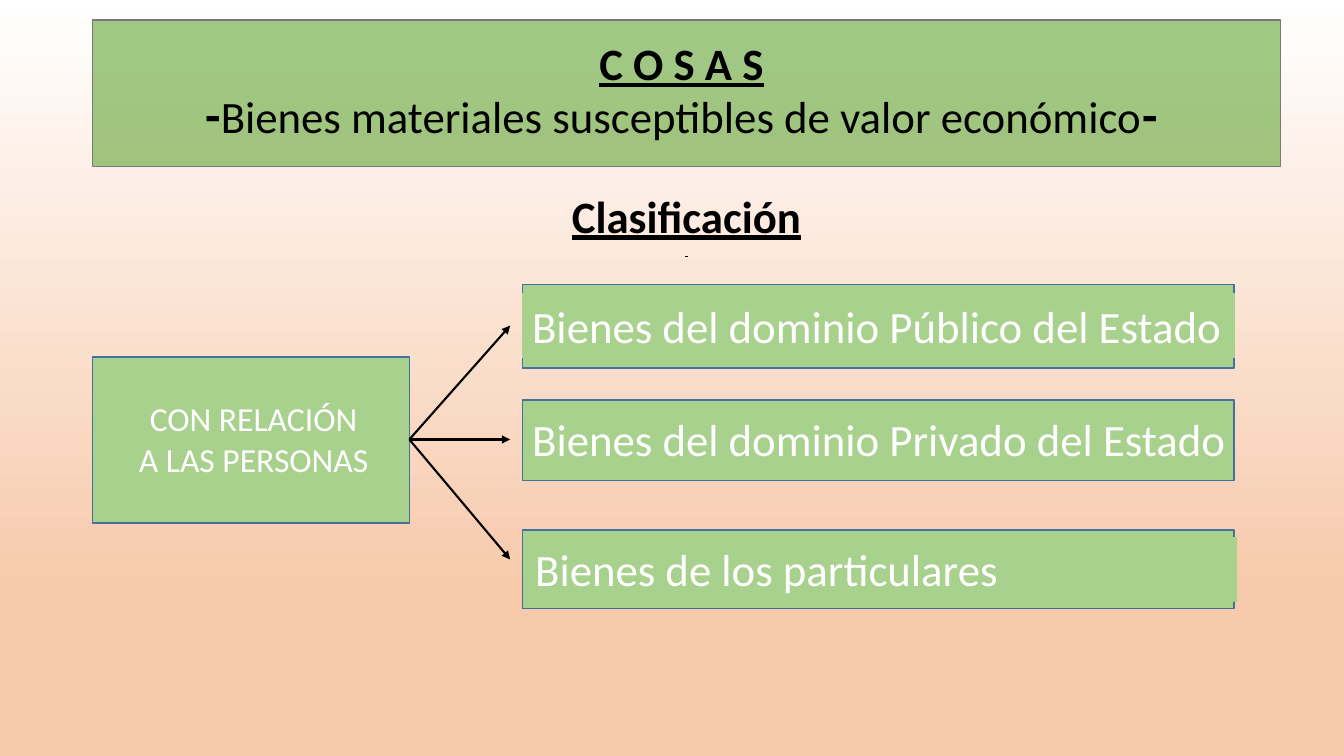
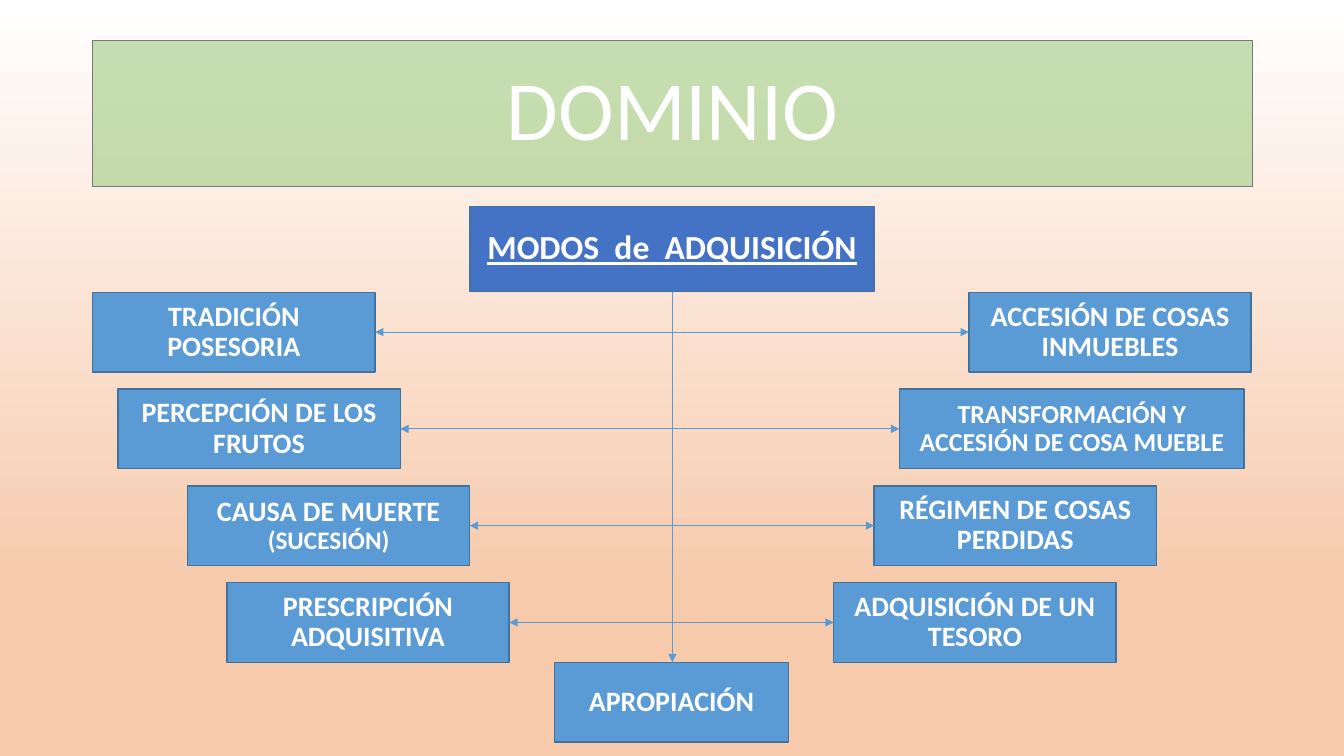
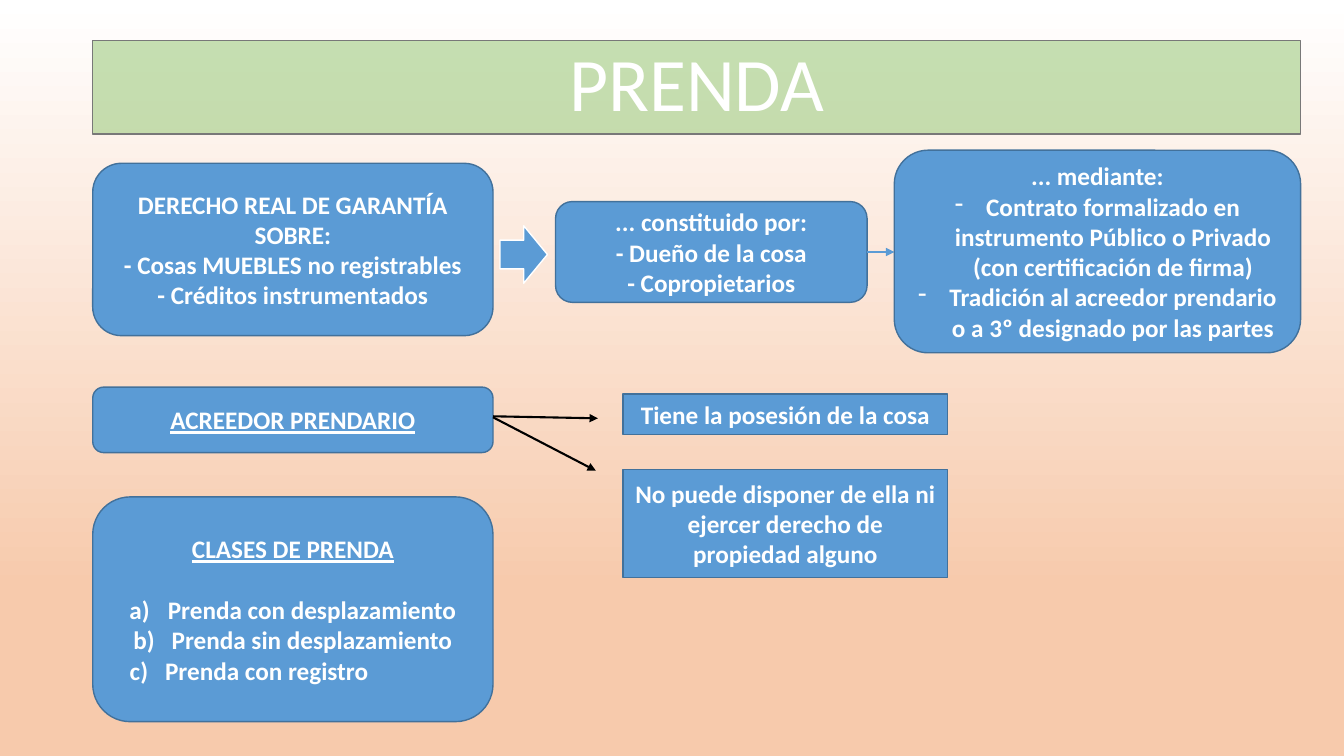
"""Build three slides on property law: things, ownership and pledge."""
from collections import namedtuple

from lxml import etree
from pptx import Presentation
from pptx.dml.color import RGBColor
from pptx.enum.shapes import MSO_CONNECTOR as Connector, MSO_SHAPE as Shape
from pptx.enum.text import MSO_ANCHOR as Anchor, MSO_AUTO_SIZE as AutoSize, PP_ALIGN as Align
from pptx.oxml.ns import qn
from pptx.util import Inches, Pt

FONT = "Calibri"
WHITE = RGBColor(0xFF, 0xFF, 0xFF)
BLACK = RGBColor(0x00, 0x00, 0x00)
PEACH = RGBColor(0xF7, 0xCA, 0xAC)
GREEN = RGBColor(0xA9, 0xD1, 0x8E)
DEEP_GREEN = RGBColor(0x70, 0xAD, 0x47)
PALE_GREEN = RGBColor(0xA8, 0xD0, 0x8C)
BLUE = RGBColor(0x5B, 0x9B, 0xD5)
ROYAL = RGBColor(0x44, 0x72, 0xC4)
EDGE = RGBColor(0x42, 0x71, 0x9B)
GRAY = RGBColor(0x78, 0x78, 0x78)
LEFT = 0.92

Span = namedtuple("Span", "text size bold underline", defaults=(18, True, False))


def draw_box(page, kind, at, paragraphs=(), fill=BLUE, edge=EDGE, width=1,
             color=WHITE, align=Align.CENTER, spacing=None):
    """Place a shape, text box or title and write its paragraphs."""
    bounds = [Inches(value) for value in at]
    if kind == "title":
        box = page.shapes.title
        box.left, box.top, box.width, box.height = bounds
    elif kind == "text":
        box = page.shapes.add_textbox(*bounds)
    else:
        box = page.shapes.add_shape(kind, *bounds)
        box.shadow.inherit = False
    if fill is not None:
        box.fill.solid()
        box.fill.fore_color.rgb = fill
    if edge is not None:
        box.line.color.rgb = edge
        box.line.width = Pt(width)
    else:
        box.line.fill.background()
    if kind == "title":
        tint = box.element.spPr.find(qn("a:solidFill"))[0]
        etree.SubElement(tint, qn("a:alpha"), val="66000")
    frame = box.text_frame
    frame.word_wrap = True
    frame.auto_size = AutoSize.NONE
    frame.vertical_anchor = Anchor.TOP if kind == "text" else Anchor.MIDDLE
    for index, spans in enumerate(paragraphs):
        para = frame.paragraphs[0] if index == 0 else frame.add_paragraph()
        para.alignment = align
        if spacing:
            para.line_spacing = spacing
        for item in spans:
            span = para.add_run()
            span.text = item.text
            span.font.name = FONT
            span.font.size = Pt(item.size)
            span.font.bold = item.bold
            span.font.underline = item.underline
            span.font.color.rgb = color
    return box


def draw_arrow(page, start, end, color=BLUE, width=0.75, ends=("tailEnd",)):
    """Draw a straight line with triangular heads at the named ends."""
    points = [Inches(value) for value in (*start, *end)]
    arrow = page.shapes.add_connector(Connector.STRAIGHT, *points)
    arrow.line.color.rgb = color
    arrow.line.width = Pt(width)
    properties = arrow.element.spPr
    for end_name in ends:
        etree.SubElement(properties.find(qn("a:ln")), qn(f"a:{end_name}"), type="triangle")
    etree.SubElement(properties, qn("a:effectLst"))


deck = Presentation()
deck.slide_width = Inches(13.33)
deck.slide_height = Inches(7.5)
backdrop = deck.slide_master.background.fill
backdrop.gradient()
backdrop.gradient_angle = 270
for stop, position, color in zip(backdrop.gradient_stops, (0, 0.78), (WHITE, PEACH)):
    stop.position = position
    stop.color.rgb = color
things, ownership, pledge = [deck.slides.add_slide(deck.slide_layouts[5]) for _ in range(3)]

draw_box(things, "title", (LEFT, 0.2, 11.78, 1.45), [
    [Span("C O S A S", 32, underline=True), Span(" ", 32)],
    [Span("-", 36), Span("Bienes materiales susceptibles de valor económico", 32, False),
     Span("-", 36), Span(" ", 32, False)],
], fill=DEEP_GREEN, edge=GRAY, color=BLACK, spacing=0.9)
draw_box(things, "text", (LEFT, 1.88, 11.78, 0.9),
         [[Span("Clasificación", 32, underline=True)], [Span(" ", 10, underline=True)]],
         fill=None, edge=None, color=BLACK, spacing=0.9)
draw_box(things, Shape.RECTANGLE, (LEFT, 3.54, 3.14, 1.65), fill=GREEN)
draw_box(things, "text", (1.09, 3.9, 2.85, 0.91),
         [[Span("CON RELACIÓN", 24, False)], [Span("A LAS PERSONAS", 24, False)]],
         fill=None, edge=None)
for top, height, label, label_at, label_fill, label_edge, target in (
    (2.82, 0.83, "Bienes del dominio Público del Estado", (5.18, 2.91, 7.06, 0.64), GREEN, GREEN, 3.23),
    (3.97, 0.8, "Bienes del dominio Privado del Estado", (5.18, 4.04, 7.18, 0.64), None, None, 4.36),
    (5.26, 0.78, "Bienes de los particulares", (5.21, 5.33, 7.06, 0.64), GREEN, None, 5.55),
):
    draw_box(things, Shape.RECTANGLE, (5.18, top, 7.06, height), fill=GREEN)
    draw_box(things, "text", label_at, [[Span(label, 32, False)]],
             fill=label_fill, edge=label_edge, width=0.75, align=Align.LEFT)
    draw_arrow(things, (4.06, 4.36), (5.06, target), BLACK, 1.5)

draw_box(ownership, "title", (LEFT, 0.4, 11.5, 1.45), [[Span("DOMINIO", 60, False)]],
         fill=PALE_GREEN, edge=GRAY, spacing=0.9)
draw_box(ownership, Shape.RECTANGLE, (4.66, 2.05, 4.01, 0.84),
         [[Span("MODOS  de  ADQUISICIÓN", 24, underline=True)]], fill=ROYAL, spacing=0.9)
draw_arrow(ownership, (6.67, 2.9), (6.67, 6.57))
MODE_WIDTH, MODE_HEIGHT = 2.8, 0.79
for row, (left, left_spans, right, right_width, right_span) in enumerate((
    (LEFT, [Span("TRADICIÓN POSESORIA", 20)],
     9.61, MODE_WIDTH, Span("ACCESIÓN DE COSAS INMUEBLES", 20)),
    (1.17, [Span("PERCEPCIÓN DE LOS FRUTOS", 20)],
     8.92, 3.42, Span("TRANSFORMACIÓN Y ACCESIÓN DE COSA MUEBLE", 18.5)),
    (1.86, [Span("CAUSA DE MUERTE ", 20), Span("(SUCESIÓN)", 18)],
     8.67, MODE_WIDTH, Span("RÉGIMEN DE COSAS PERDIDAS", 20)),
    (2.25, [Span("PRESCRIPCIÓN ADQUISITIVA", 20)],
     8.27, MODE_WIDTH, Span("ADQUISICIÓN DE UN TESORO", 20)),
)):
    top = 2.9 + 0.96 * row
    middle = top + MODE_HEIGHT / 2
    draw_box(ownership, Shape.RECTANGLE, (left, top, MODE_WIDTH, MODE_HEIGHT),
             [left_spans], spacing=0.9)
    draw_box(ownership, Shape.RECTANGLE, (right, top, right_width, MODE_HEIGHT),
             [[right_span]], spacing=0.9)
    draw_arrow(ownership, (left + MODE_WIDTH, middle), (right, middle),
               ends=("headEnd", "tailEnd"))
draw_box(ownership, Shape.RECTANGLE, (5.5, 6.57, 2.32, MODE_HEIGHT),
         [[Span("APROPIACIÓN", 20)]], spacing=0.9)

draw_box(pledge, "title", (LEFT, 0.4, 11.98, 0.93), [[Span("PRENDA", 54, False)]],
         fill=PALE_GREEN, edge=GRAY, spacing=0.9)
draw_box(pledge, Shape.ROUNDED_RECTANGLE, (LEFT, 1.62, 3.97, 1.71), [
    [Span("DERECHO REAL DE GARANTÍA SOBRE:")],
    [Span("- Cosas MUEBLES no registrables")],
    [Span("- Créditos instrumentados")],
])
draw_box(pledge, Shape.RIGHT_ARROW, (4.96, 2.24, 0.47, 0.57), edge=WHITE)
draw_box(pledge, Shape.ROUNDED_RECTANGLE, (5.51, 2, 3.09, 1), [
    [Span("... constituido por:")],
    [Span("- Dueño de la cosa")],
    [Span("- Copropietarios")],
])
draw_arrow(pledge, (8.6, 2.5), (8.87, 2.5))
means = draw_box(pledge, Shape.ROUNDED_RECTANGLE, (8.87, 1.49, 4.03, 2.01), [
    [Span("... mediante:")],
    [Span("Contrato formalizado en instrumento Público o Privado (con certificación de firma)")],
    [Span("Tradición al acreedor prendario o a 3º designado por las partes")],
])
draw_box(pledge, Shape.ROUNDED_RECTANGLE, (LEFT, 3.84, 3.97, 0.65),
         [[Span("ACREEDOR PRENDARIO", underline=True)]])
for top, height, text, start, end in (
    (3.91, 0.4, "Tiene la posesión de la cosa", (4.89, 4.13), (5.93, 4.15)),
    (4.66, 1.07, "No puede disponer de ella ni ejercer derecho de propiedad alguno",
     (4.89, 4.14), (5.91, 4.67)),
):
    draw_box(pledge, Shape.RECTANGLE, (6.18, top, 3.22, height), [[Span(text)]])
    draw_arrow(pledge, start, end, BLACK, 1.5)
classes = draw_box(pledge, Shape.ROUNDED_RECTANGLE, (LEFT, 4.93, 3.97, 2.23), [
    [Span("CLASES DE PRENDA", underline=True)],
    [Span("Prenda con desplazamiento")],
    [Span("Prenda sin desplazamiento")],
    [Span("Prenda con registro")],
])
heading, first_class, second_class, third_class = classes.text_frame.paragraphs
heading.space_after = Pt(22)
third_class.alignment = Align.LEFT

dash = ("buChar", {"char": "-"})
letter = ("buAutoNum", {"type": "alphaLcParenR"})
third_letter = ("buAutoNum", {"type": "alphaLcParenR", "startAt": "3"})
for para, margin, hang, (tag, attributes) in (
    *((para, 0.31, 0.31, dash) for para in means.text_frame.paragraphs[1:]),
    (first_class, 0.38, 0.38, letter),
    (second_class, 0.38, 0.38, letter),
    (third_class, 0.51, 0.35, third_letter),
):
    properties = para._p.get_or_add_pPr()
    properties.set("marL", str(Inches(margin)))
    properties.set("indent", str(-Inches(hang)))
    etree.SubElement(properties, qn("a:buFontTx"))
    etree.SubElement(properties, qn(f"a:{tag}"), attributes)

deck.save("out.pptx")
